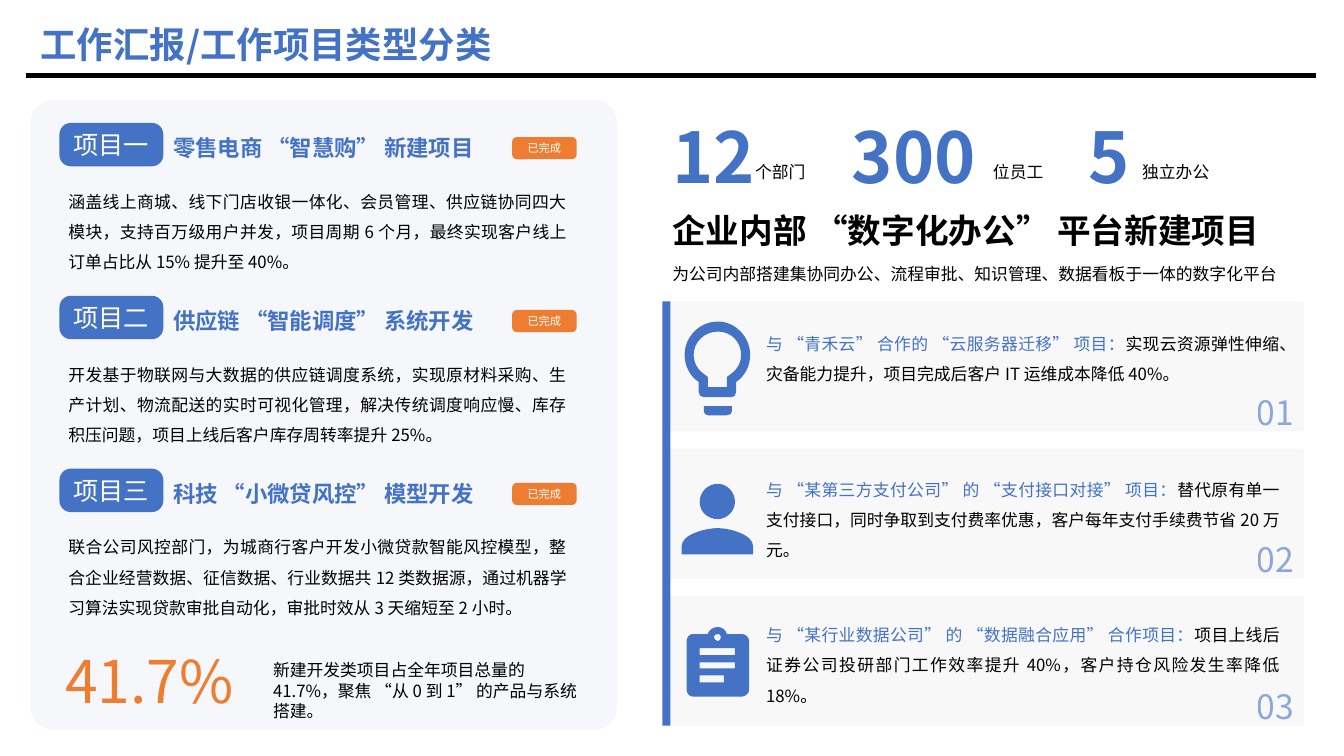
"""Build the slide that sorts work projects by type."""
import itertools
from dataclasses import dataclass

import pptx
import pptx.dml.color
import pptx.enum.shapes
import pptx.enum.text
import pptx.oxml.ns
import pptx.util
from lxml import etree

Inches = pptx.util.Inches
Pt = pptx.util.Pt
qn = pptx.oxml.ns.qn
Align = pptx.enum.text.PP_ALIGN
Kind = pptx.enum.shapes.MSO_SHAPE


@dataclass(frozen=True)
class Theme:
    """Colours, font and type sizes."""
    font: str = "Noto Sans CJK SC"
    blue: str = "4472C4"
    orange: str = "ED7D31"
    grey: str = "F2F2F2"
    black: str = "000000"
    white: str = "FFFFFF"
    tiny: int = 8
    body: int = 12
    name: int = 16
    badge: int = 18
    head: int = 24
    title: int = 26
    share: int = 42
    figure: int = 50


THEME = Theme()

PROJECTS = [
    ("项目一", "零售电商 “智慧购” 新建项目",
     "涵盖线上商城、线下门店收银一体化、会员管理、供应链协同四大模块，支持百万级用户并发，"
     "项目周期 6 个月，最终实现客户线上订单占比从 15% 提升至 40%。"),
    ("项目二", "供应链 “智能调度” 系统开发",
     "开发基于物联网与大数据的供应链调度系统，实现原材料采购、生产计划、物流配送的实时可视化管理，"
     "解决传统调度响应慢、库存积压问题，项目上线后客户库存周转率提升 25%。"),
    ("项目三", "科技 “小微贷风控” 模型开发",
     "联合公司风控部门，为城商行客户开发小微贷款智能风控模型，整合企业经营数据、征信数据、行业数据共 12 类数据源，"
     "通过机器学习算法实现贷款审批自动化，审批时效从 3 天缩短至 2 小时。"),
]

FIGURES = [
    ("12", 6.57, 1.1, "个部门", 7.39, 0.81),
    ("300", 8.35, 1.61, "位员工", 9.75, 0.81),
    ("5", 10.7, 0.63, "独立办公", 11.23, 0.94),
]

BULB = """M 7.25 3.71 C 7.31 3.67 7.35 3.6 7.35 3.52 C 7.35 3.39 7.25 3.29 7.12 3.29
C 6.99 3.29 6.88 3.39 6.88 3.52 C 6.88 3.6 6.92 3.67 6.98 3.71 L 7.02 3.74 L 7.02 3.84
L 7.21 3.84 L 7.21 3.74 L 7.25 3.71 Z M 7.12 3.19 C 7.29 3.19 7.44 3.34 7.44 3.52
C 7.44 3.63 7.39 3.73 7.3 3.79 L 7.3 3.89 C 7.3 3.92 7.28 3.94 7.26 3.94 L 6.98 3.94
C 6.95 3.94 6.93 3.92 6.93 3.89 L 6.93 3.79 C 6.84 3.73 6.79 3.63 6.79 3.52
C 6.79 3.34 6.94 3.19 7.12 3.19 Z M 6.98 4.08 L 6.98 4.03 L 7.26 4.03 L 7.26 4.08
C 7.26 4.1 7.24 4.12 7.21 4.12 L 7.02 4.12 C 7 4.12 6.98 4.1 6.98 4.08 Z"""

PERSON = """M 7.47 5.42 L 7.47 5.5 L 6.76 5.5 L 6.76 5.42 C 6.76 5.3 7 5.24 7.12 5.24
C 7.23 5.24 7.47 5.3 7.47 5.42 Z M 7.12 5.15 C 7.02 5.15 6.94 5.08 6.94 4.98
C 6.94 4.88 7.02 4.8 7.12 4.8 C 7.21 4.8 7.29 4.88 7.29 4.98 C 7.29 5.07 7.21 5.15 7.12 5.15 Z"""

BOARD = """M 7.29 6.5 L 7.29 6.43 L 6.94 6.43 L 6.94 6.5 L 7.29 6.5 Z M 7.29 6.63 L 7.29 6.57
L 6.94 6.57 L 6.94 6.63 L 7.29 6.63 Z M 7.18 6.77 L 7.18 6.7 L 6.94 6.7 L 6.94 6.77 L 7.18 6.77 Z
M 7.12 6.29 C 7.1 6.29 7.08 6.3 7.08 6.32 C 7.08 6.34 7.1 6.36 7.12 6.36
C 7.14 6.36 7.15 6.34 7.15 6.32 C 7.15 6.3 7.14 6.29 7.12 6.29 Z
M 7.43 6.36 L 7.43 6.84 C 7.43 6.88 7.39 6.91 7.36 6.91 L 6.87 6.91
C 6.84 6.91 6.81 6.88 6.81 6.84 L 6.81 6.36 C 6.81 6.32 6.84 6.29 6.87 6.29 L 7.02 6.29
C 7.03 6.25 7.07 6.22 7.12 6.22 C 7.16 6.22 7.2 6.25 7.21 6.29 L 7.36 6.29
C 7.39 6.29 7.43 6.32 7.43 6.36 Z"""

CARDS = [
    ("01", BULB, "与 “青禾云” 合作的 “云服务器迁移” 项目：",
     "实现云资源弹性伸缩、灾备能力提升，项目完成后客户 IT 运维成本降低 40%。"),
    ("02", PERSON, "与 “某第三方支付公司” 的 “支付接口对接” 项目：",
     "替代原有单一支付接口，同时争取到支付费率优惠，客户每年支付手续费节省 20 万元。"),
    ("03", BOARD, "与 “某行业数据公司” 的 “数据融合应用” 合作项目：",
     "项目上线后证券公司投研部门工作效率提升 40%，客户持仓风险发生率降低 18%。"),
]


def tint(code):
    """Return the colour for a hex code."""
    return pptx.dml.color.RGBColor.from_string(code)


def fade(node, share):
    """Give the colours in a node a percentage of opacity."""
    for mark in node.iter(qn("a:srgbClr")):
        etree.SubElement(mark, qn("a:alpha"), val=str(share * 1000))


def style(para, size, color, bold=False, align=Align.LEFT):
    """Set the type of a whole paragraph."""
    para.alignment = align
    font = para.font
    font.name, font.size, font.bold = THEME.font, Pt(size), bold
    font.color.rgb = tint(color)
    base = para._p.pPr.find(qn("a:defRPr"))
    etree.SubElement(base, qn("a:ea"), typeface=THEME.font)


def label(slide, box, text, size, color, bold=False, align=Align.LEFT):
    """Add a wrapped text box and return its paragraph."""
    frame = slide.shapes.add_textbox(*map(Inches, box)).text_frame
    frame.word_wrap = True
    frame.auto_size = pptx.enum.text.MSO_AUTO_SIZE.SHAPE_TO_FIT_TEXT
    para = frame.paragraphs[0]
    para.add_run().text = text
    style(para, size, color, bold, align)
    return para


def prose(slide, box, text, color=THEME.black):
    """Add a justified body text with open lines."""
    para = label(slide, box, text, THEME.body, color, align=Align.JUSTIFY)
    para.line_spacing = 1.5
    para.space_after = Pt(10)
    return para


def paint(shape, color):
    """Fill a shape and drop its line and shadow."""
    shape.shadow.inherit = False
    shape.fill.solid()
    shape.fill.fore_color.rgb = tint(color)
    shape.line.fill.background()


def panel(slide, box, color, curve=0, share=100):
    """Add a filled rectangle, with round corners if curved."""
    kind = Kind.ROUNDED_RECTANGLE if curve else Kind.RECTANGLE
    shape = slide.shapes.add_shape(kind, *map(Inches, box))
    if curve:
        shape.adjustments[0] = curve
    paint(shape, color)
    if share < 100:
        fade(shape._element.spPr, share)
    return shape


def badge(slide, box, text, size, color, curve):
    """Add a rounded tag with white centred text."""
    frame = panel(slide, box, color, curve).text_frame
    frame.word_wrap = True
    frame.vertical_anchor = pptx.enum.text.MSO_ANCHOR.MIDDLE
    frame.text = text
    style(frame.paragraphs[0], size, THEME.white, align=Align.CENTER)


def trace(loop):
    """Split one closed outline into its steps, each a list of points."""
    steps = [[Inches(float(num)) for num in step.split()] for step in loop.replace("C", "L").split("L")]
    return [list(zip(step[::2], step[1::2])) for step in steps]


def bend(shape, counts):
    """Turn each run of three segments into a cubic curve."""
    nodes = iter(list(shape._element.iter(qn("a:lnTo"))))
    for count in counts:
        group = list(itertools.islice(nodes, count))
        if count == 3:
            curve = etree.SubElement(group[0].getparent(), qn("a:cubicBezTo"))
            group[0].addprevious(curve)
            for node in group:
                curve.append(node[0])
                node.getparent().remove(node)


def icon(slide, outline):
    """Draw a blue symbol from closed outlines."""
    loops = [trace(loop.strip(" \nM")) for loop in outline.split("Z") if loop.strip()]
    pen = slide.shapes.build_freeform(*loops[0][0][0])
    for count, (start, *steps) in enumerate(loops):
        if count:
            pen.move_to(*start[0])
        pen.add_line_segments(list(itertools.chain(*steps)), close=True)
    shape = pen.convert_to_shape()
    bend(shape, [len(step) for loop in loops for step in loop[1:]])
    paint(shape, THEME.blue)


def header(slide):
    """Add the title and the rule below it."""
    rule = slide.shapes.add_connector(pptx.enum.shapes.MSO_CONNECTOR.STRAIGHT,
                                      *map(Inches, (0.26, 0.75, 13.05, 0.75)))
    rule.line.color.rgb, rule.line.width = tint(THEME.black), Pt(3)
    etree.SubElement(rule._element.spPr, qn("a:effectLst"))
    label(slide, (0.3, 0.17, 6.82, 0.54), "工作汇报/工作项目类型分类", THEME.title, THEME.blue, True)


def project(slide, top, tag, name, text):
    """Add one finished project."""
    badge(slide, (0.59, top, 1.03, 0.43), tag, THEME.badge, THEME.blue, 0.26)
    badge(slide, (5.08, top + 0.14, 0.64, 0.22), "已完成", THEME.tiny, THEME.orange, 0.21)
    prose(slide, (0.58, top + 0.53, 5.14, 1.01), text)
    label(slide, (1.62, top + 0.06, 3.57, 0.37), name, THEME.name, THEME.blue, True)


def figure(slide, value, left, width, unit, start, span):
    """Add a large number with its unit."""
    label(slide, (left, 1.08, width, 0.94), value, THEME.figure, THEME.blue, True)
    label(slide, (start, 1.56, span, 0.3), unit, THEME.body, THEME.black)


def card(slide, row, number, outline, lead, text):
    """Add one numbered card with its symbol."""
    top = 2.99 + 1.46 * row
    panel(slide, (6.61, top, 6.32, 1.29), THEME.grey, 0.003, 50)
    icon(slide, outline)
    para = prose(slide, (7.5, 3.16 + 2.89 / 2 * row, 5.29, 0.71), lead, THEME.blue)
    rest = para.add_run()
    rest.text = text
    rest.font.color.rgb = tint(THEME.black)
    mark = label(slide, (11.83, top + 0.85, 1.1, 0.44), number, THEME.head, THEME.blue, align=Align.RIGHT)
    fade(mark._p, 60)


def main():
    """Build and save the slide."""
    deck = pptx.Presentation()
    deck.slide_width, deck.slide_height = Inches(13.33), Inches(7.5)
    slide = deck.slides.add_slide(deck.slide_layouts[6])
    header(slide)
    panel(slide, (0.3, 0.99, 5.82, 6.25), THEME.blue, 0.04, 5)
    for row, item in enumerate(PROJECTS):
        project(slide, 1.22 + 3.43 / 2 * row, *item)
    label(slide, (0.55, 6.35, 2.06, 0.81), "41.7%", THEME.share, THEME.orange)
    label(slide, (2.61, 6.5, 3.36, 0.5),
          "新建开发类项目占全年项目总量的 41.7%，聚焦 “从 0 到 1” 的产品与系统搭建。", THEME.body, THEME.black)
    for item in FIGURES:
        figure(slide, *item)
    label(slide, (6.57, 2.03, 6.06, 0.5), "企业内部 “数字化办公” 平台新建项目", THEME.head, THEME.black, True)
    label(slide, (6.57, 2.57, 6.46, 0.3),
          "为公司内部搭建集协同办公、流程审批、知识管理、数据看板于一体的数字化平台", THEME.body, THEME.black)
    for row, item in enumerate(CARDS):
        card(slide, row, *item)
    panel(slide, (6.57, 2.99, 0.08, 4.21), THEME.blue)
    deck.save("out.pptx")


if __name__ == "__main__":
    main()
